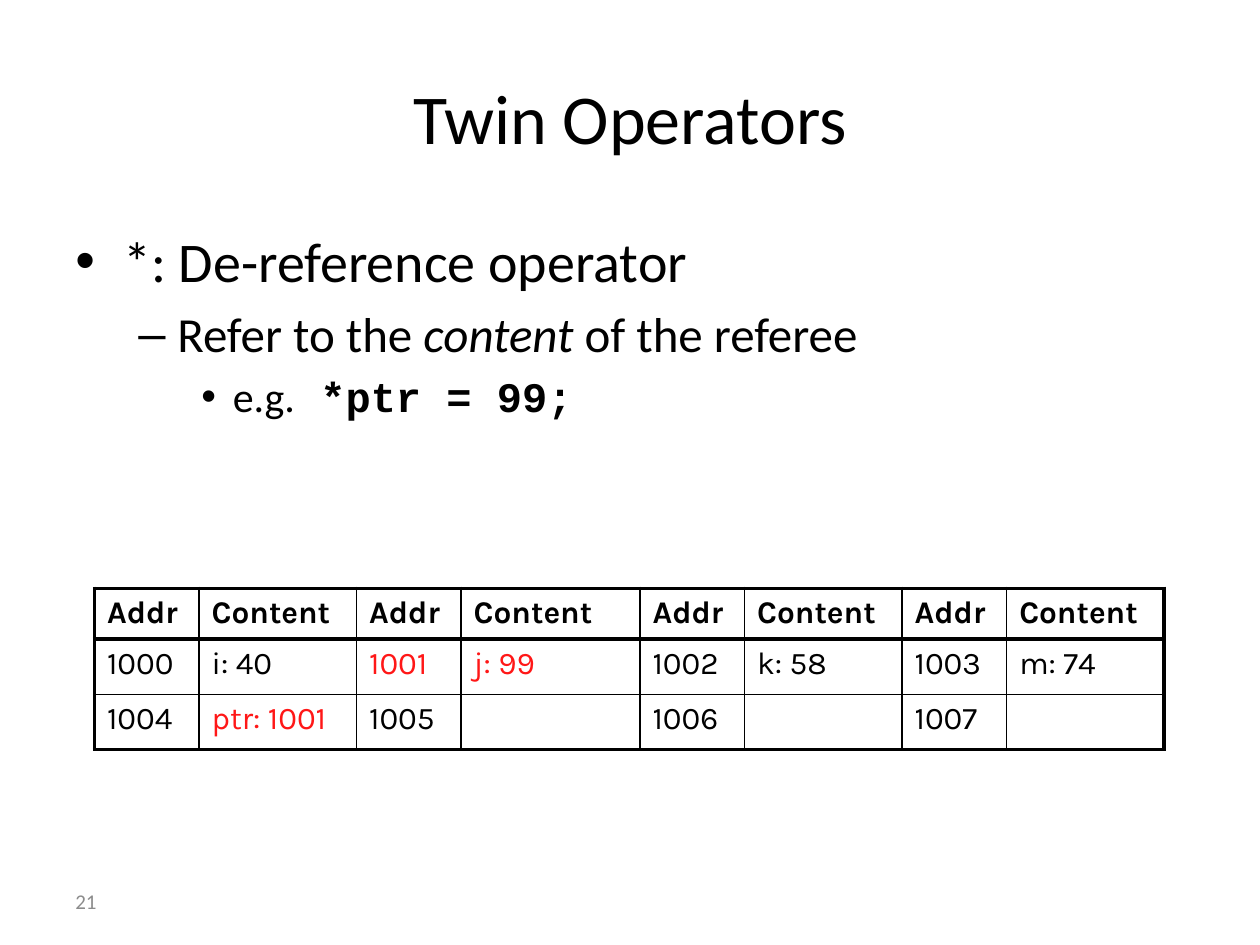
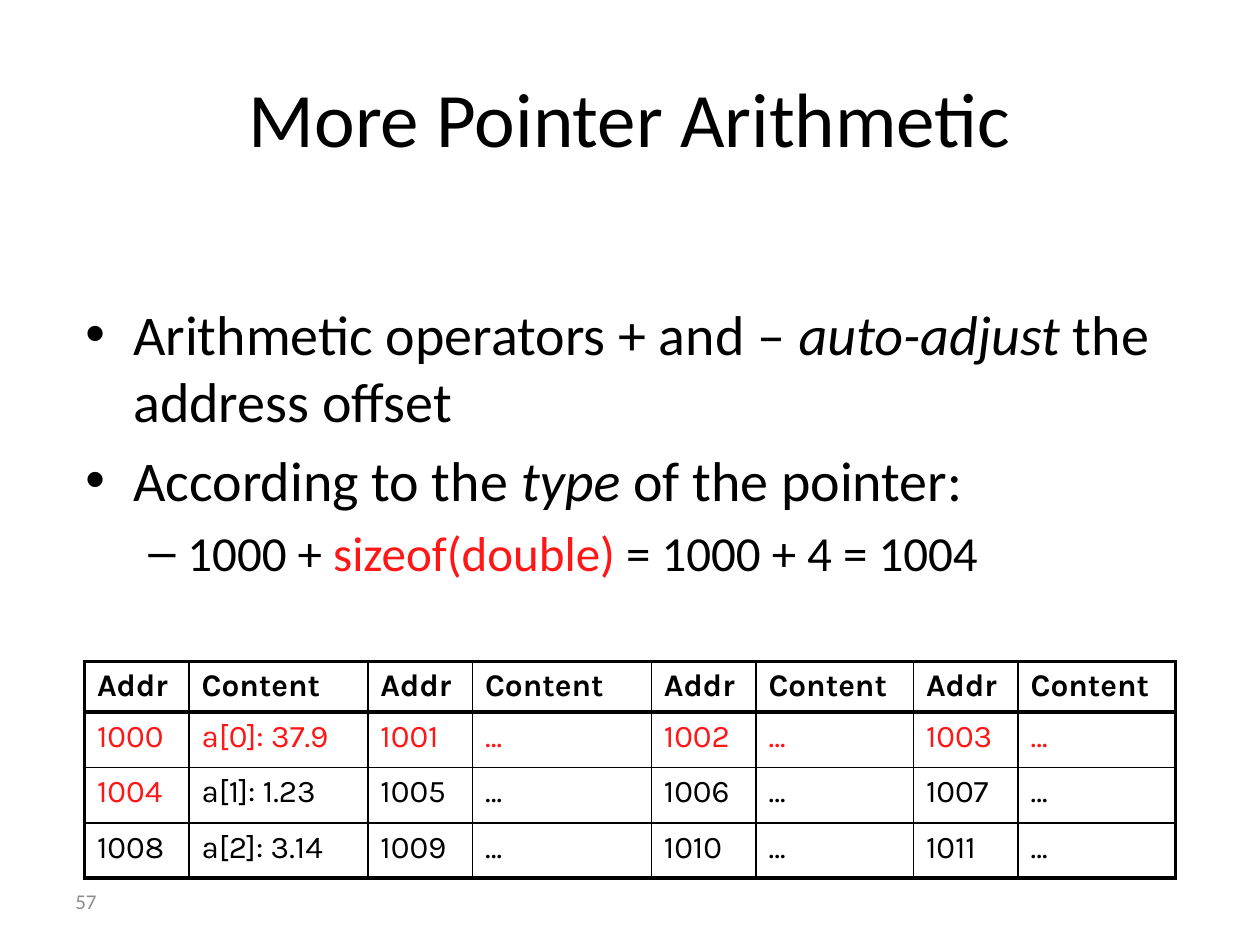
from dataclasses import dataclass
from typing import NamedTuple

import lxml.etree
import pptx
import pptx.dml.color
import pptx.enum.text
import pptx.oxml.ns
import pptx.util

Inches = pptx.util.Inches
Pt = pptx.util.Pt
RGBColor = pptx.dml.color.RGBColor
Anchor = pptx.enum.text.MSO_ANCHOR


@dataclass(frozen=True)
class Theme:
    ink: RGBColor = RGBColor(0x00, 0x00, 0x00)
    highlight: RGBColor = RGBColor(0xFF, 0x17, 0x17)
    muted: RGBColor = RGBColor(0x8C, 0x8C, 0x8C)
    body_font: str = "Calibri"
    code_font: str = "Courier New"
    table_font: str = "Karla"
    table_size: float = 18
    number_size: float = 12
    thin: float = 1
    thick: float = 2.25


THEME = Theme()


class Level(NamedTuple):
    size: float
    bullet: str
    margin: float
    hanging: float


LEVELS = (
    Level(32, "•", 0.38, 0.38),
    Level(28, "–", 0.81, 0.31),
    Level(24, "•", 1.25, 0.25),
)
SPACE_BEFORE = 0.2  # share of the type size

ADDR_WIDTH = 0.83
HEADER_HEIGHT = 0.4
ROW_HEIGHT = 0.44
FIRST_ADDRESS = 1000


class Span(NamedTuple):
    text: str
    italic: bool = False
    bold: bool = False
    color: RGBColor = THEME.ink
    font: str = THEME.body_font


class Point(NamedTuple):
    level: int
    spans: tuple[Span, ...]


class Box(NamedTuple):
    left: float
    top: float
    width: float
    height: float


@dataclass(frozen=True)
class MemoryMap:
    """Cells of memory; highlights are (row, column) places in the table."""
    left: float
    top: float
    content_widths: tuple[float, ...]
    contents: tuple[tuple[str, ...], ...]
    highlights: frozenset[tuple[int, int]]


@dataclass(frozen=True)
class Lesson:
    title: str
    title_size: float
    number: str
    body: Box
    points: tuple[Point, ...]
    memory: MemoryMap


TITLE_BOX = Box(0.5, 0.3, 9, 1.25)
NUMBER_BOX = Box(0.5, 6.95, 2.33, 0.4)

LESSONS = (
    Lesson(
        "Twin Operators", 40, "21", Box(0.5, 1.75, 9, 4.95),
        (
            Point(0, (Span("*: De-reference operator"),)),
            Point(1, (Span("Refer to the "), Span("content", italic=True),
                      Span(" of the referee"))),
            Point(2, (Span("e.g."),
                      Span(" *ptr = 99;", bold=True, font=THEME.code_font))),
        ),
        MemoryMap(
            0.75, 4.67, (1.25, 1.42, 1.25, 1.25),
            (("i: 40", "j: 99", "k: 58", "m: 74"),
             ("ptr: 1001", "", "", "")),
            frozenset({(1, 2), (1, 3), (2, 1)}),
        ),
    ),
    Lesson(
        "More Pointer Arithmetic", 44, "57", Box(0.58, 2.33, 9, 4.5),
        (
            Point(0, (Span("Arithmetic operators + and – "),
                      Span("auto-adjust", italic=True),
                      Span(" the address offset"))),
            Point(0, (Span("According to the "), Span("type", italic=True),
                      Span(" of the pointer:"))),
            Point(1, (Span("1000 + "),
                      Span("sizeof(double)", color=THEME.highlight),
                      Span(" = 1000 + 4 = 1004"))),
        ),
        MemoryMap(
            0.67, 5.25, (1.42, 1.42, 1.25, 1.25),
            tuple((value, "…", "…", "…")
                  for value in ("a[0]: 37.9", "a[1]: 1.23", "a[2]: 3.14")),
            frozenset({(1, column) for column in range(8)} | {(2, 0)}),
        ),
    ),
)


def add_text(paragraph, text: str, *, size: float, font: str = THEME.body_font,
             color: RGBColor = THEME.ink, bold: bool = False,
             italic: bool = False) -> None:
    run = paragraph.add_run()
    run.text = text
    run.font.size = Pt(size)
    run.font.name = font
    run.font.color.rgb = color
    run.font.bold = bold
    run.font.italic = italic


def inches(box: Box) -> tuple[int, ...]:
    return tuple(Inches(length) for length in box)


def add_frame(slide, box: Box, anchor: Anchor = Anchor.TOP):
    frame = slide.shapes.add_textbox(*inches(box)).text_frame
    frame.word_wrap = True
    frame.vertical_anchor = anchor
    return frame


def add_child(parent, tag: str, **attributes: str):
    return lxml.etree.SubElement(parent, pptx.oxml.ns.qn(tag), attributes)


def set_bullet(paragraph, level: Level) -> None:
    properties = paragraph._p.get_or_add_pPr()
    properties.set("marL", str(Inches(level.margin)))
    properties.set("indent", str(-Inches(level.hanging)))
    add_child(properties, "a:buFont", typeface="Arial")
    add_child(properties, "a:buChar", char=level.bullet)


def draw_title(slide, lesson: Lesson) -> None:
    title = slide.shapes.title
    title.left, title.top, title.width, title.height = inches(TITLE_BOX)
    frame = title.text_frame
    frame.auto_size = pptx.enum.text.MSO_AUTO_SIZE.NONE
    frame.vertical_anchor = Anchor.MIDDLE
    heading = frame.paragraphs[0]
    heading.alignment = pptx.enum.text.PP_ALIGN.CENTER
    add_text(heading, lesson.title, size=lesson.title_size)


def draw_points(slide, lesson: Lesson) -> None:
    frame = add_frame(slide, lesson.body)
    for index, point in enumerate(lesson.points):
        level = LEVELS[point.level]
        paragraph = frame.add_paragraph() if index else frame.paragraphs[0]
        paragraph.level = point.level
        set_bullet(paragraph, level)
        if index:
            paragraph.space_before = Pt(SPACE_BEFORE * level.size)
        for span in point.spans:
            add_text(paragraph, span.text, size=level.size, font=span.font,
                     color=span.color, bold=span.bold, italic=span.italic)


def set_borders(cell, thick_sides: dict[str, bool]) -> None:
    properties = cell._tc.get_or_add_tcPr()
    for side, is_thick in thick_sides.items():
        width = Pt(THEME.thick if is_thick else THEME.thin)
        line = add_child(properties, f"a:ln{side}", w=str(width))
        fill = add_child(line, "a:solidFill")
        add_child(fill, "a:srgbClr", val=str(THEME.ink))


def memory_rows(memory: MemoryMap) -> list[list[str]]:
    """Header row, then consecutive addresses paired with their contents."""
    pairs = len(memory.content_widths)
    rows = [["Addr", "Content"] * pairs]
    for index, contents in enumerate(memory.contents):
        start = FIRST_ADDRESS + index * pairs
        rows.append([text for offset, content in enumerate(contents)
                     for text in (str(start + offset), content)])
    return rows


def draw_memory(slide, memory: MemoryMap) -> None:
    rows = memory_rows(memory)
    widths = [width for content in memory.content_widths
              for width in (ADDR_WIDTH, content)]
    heights = [HEADER_HEIGHT] + [ROW_HEIGHT] * len(memory.contents)
    box = Box(memory.left, memory.top, sum(widths), sum(heights))
    table = slide.shapes.add_table(len(rows), len(widths), *inches(box)).table
    table.first_row = table.horz_banding = False
    for column, width in zip(table.columns, widths):
        column.width = Inches(width)
    for table_row, height in zip(table.rows, heights):
        table_row.height = Inches(height)

    for r, texts in enumerate(rows):
        for c, text in enumerate(texts):
            cell = table.cell(r, c)
            set_borders(cell, {
                "L": c == 0,
                "R": c == len(widths) - 1,
                "T": r <= 1,
                "B": r in (0, len(rows) - 1),
            })
            cell.fill.background()
            if text:
                is_hot = (r, c) in memory.highlights
                add_text(cell.text_frame.paragraphs[0], text,
                         size=THEME.table_size, font=THEME.table_font,
                         color=THEME.highlight if is_hot else THEME.ink,
                         bold=r == 0)


def draw_lesson(deck, lesson: Lesson) -> None:
    title_only = deck.slide_layouts.get_by_name("Title Only")
    slide = deck.slides.add_slide(title_only)
    number = add_frame(slide, NUMBER_BOX, Anchor.MIDDLE).paragraphs[0]
    add_text(number, lesson.number, size=THEME.number_size, color=THEME.muted)
    draw_title(slide, lesson)
    draw_points(slide, lesson)
    draw_memory(slide, lesson.memory)


def main() -> None:
    deck = pptx.Presentation()
    deck.slide_width, deck.slide_height = Inches(10), Inches(7.5)
    for lesson in LESSONS:
        draw_lesson(deck, lesson)
    deck.save("out.pptx")


if __name__ == "__main__":
    main()
